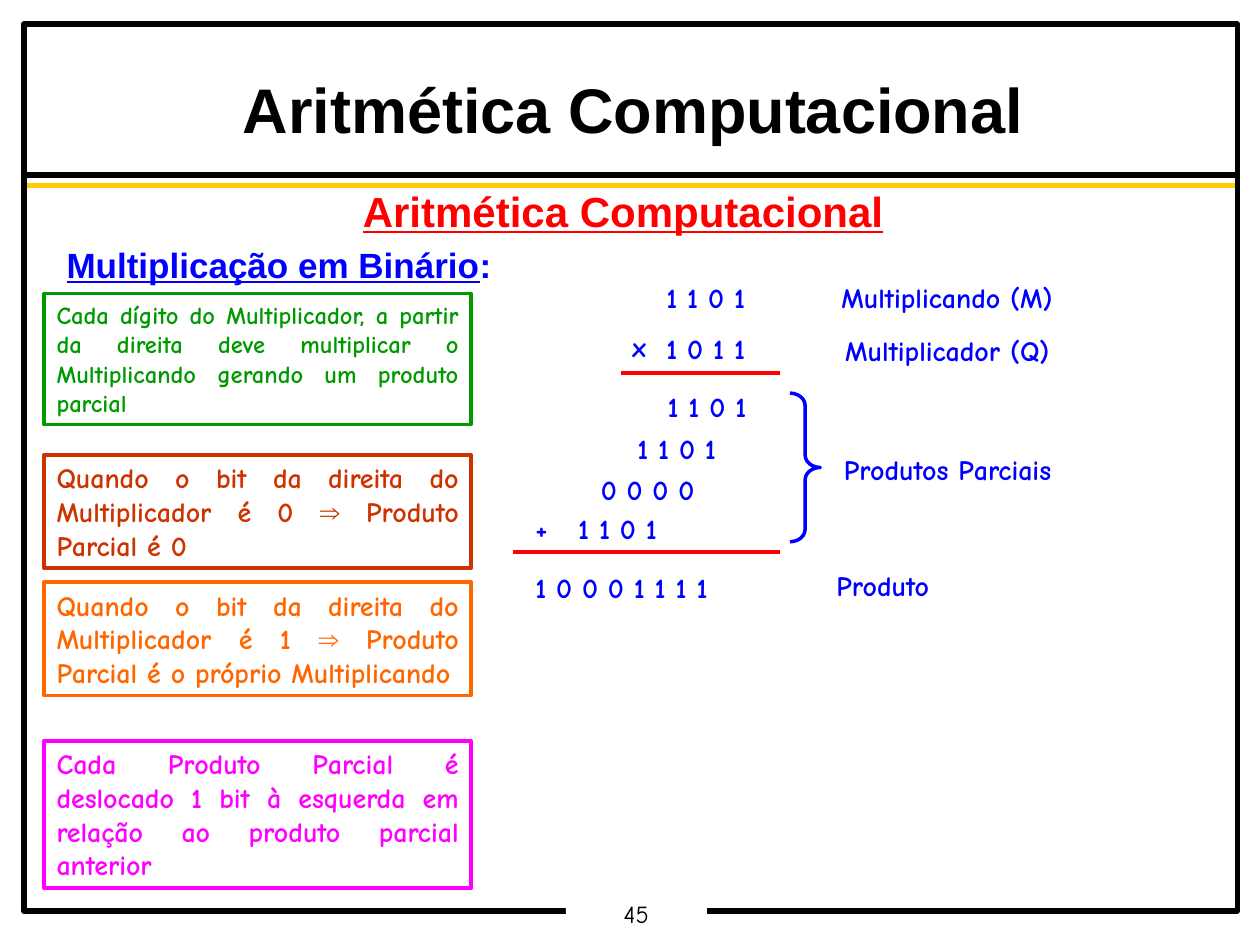
import pptx
import pptx.util
import pptx.dml.color
import pptx.enum.shapes
import pptx.enum.text
import pptx.oxml.ns
import lxml.etree

ALIGN = pptx.enum.text.PP_ALIGN
ANCHOR = pptx.enum.text.MSO_ANCHOR
SHAPE = pptx.enum.shapes.MSO_SHAPE
STRAIGHT = pptx.enum.shapes.MSO_CONNECTOR.STRAIGHT

THEME = {
    "ink": "000000", "paper": "FFFFFF", "gold": "FFCC00", "red": "FF0000",
    "blue": "0000FF", "green": "009900", "rust": "CC3300", "orange": "FF6600",
    "magenta": "FF00FF",
    "heading_font": "Arial", "body_font": "Comic Neue",
    "title": 36, "topic": 24, "section": 20, "body": 16, "small": 14,
    "frame_line": 3, "line": 2,
}
COLUMNS, ROWS = 100, 75

deck = pptx.Presentation()
deck.slide_width = pptx.util.Inches(10)
deck.slide_height = pptx.util.Inches(7.5)
column = deck.slide_width / COLUMNS
row = deck.slide_height / ROWS
slide = deck.slides.add_slide(deck.slide_layouts[5])
shapes = slide.shapes


def grid(x, y, *size):
    cells = (x, y, *size)
    return [round(cell * (row if i % 2 else column)) for i, cell in enumerate(cells)]


def write(frame, paragraphs, color, size, font=THEME["body_font"], bold=True,
          wrap=True, anchor=ANCHOR.TOP, inset=(0.1, 0.05), **layout):
    side, end = (pptx.util.Inches(value) for value in inset)
    frame_format = {"word_wrap": wrap, "vertical_anchor": anchor,
                    "auto_size": pptx.enum.text.MSO_AUTO_SIZE.NONE,
                    "margin_left": side, "margin_right": side,
                    "margin_top": end, "margin_bottom": end}
    for name, value in frame_format.items():
        setattr(frame, name, value)
    for index, pieces in enumerate(paragraphs):
        paragraph = frame.add_paragraph() if index else frame.paragraphs[0]
        spacing = {"space_before": pptx.util.Pt(10 if index else 0)}
        for name, value in {"alignment": ALIGN.LEFT, **spacing, **layout}.items():
            setattr(paragraph, name, value)
        for text, changes in pieces:
            run = paragraph.add_run()
            run.text = text
            run_format = {"name": font, "size": pptx.util.Pt(size), "bold": bold, **changes}
            for name, value in run_format.items():
                setattr(run.font, name, value)
            run.font.color.rgb = pptx.dml.color.RGBColor.from_string(color)


rules = [
    ((2, 13.9), (98.4, 13.9), "ink", "frame_line"),
    ((2, 14.7), (98.4, 14.7), "gold", "frame_line"),
    ((49.3, 29.6), (61.9, 29.6), "red", "line"),
    ((40.7, 43.8), (61.9, 43.8), "red", "line"),
]
for start, finish, color, weight in rules:
    rule = shapes.add_connector(STRAIGHT, *grid(*start), *grid(*finish))
    rule.line.color.rgb = pptx.dml.color.RGBColor.from_string(THEME[color])
    rule.line.width = pptx.util.Pt(THEME[weight])
    lxml.etree.SubElement(rule.element.spPr, pptx.oxml.ns.qn("a:effectLst"))

arrow = ("⇒", {"name": THEME["heading_font"]})
bit_rule = "Quando o bit da direita do Multiplicador é "
outlines = [
    (SHAPE.RECTANGLE, (1.9, 1.9, 96.3, 70.4), "ink", "frame_line", None, []),
    (SHAPE.RIGHT_BRACE, (62.7, 31.2, 2.4, 11.8), "blue", "line", None, []),
    (SHAPE.RECTANGLE, (3.5, 23.3, 33.9, 10.4), "green", "line", "small",
     [("Cada dígito do Multiplicador, a partir da direita deve multiplicar o "
       "Multiplicando gerando um produto parcial", {})]),
    (SHAPE.RECTANGLE, (3.5, 36.1, 33.9, 9), "rust", "line", "body",
     [(bit_rule + "0 ", {}), arrow, (" Produto Parcial é 0", {})]),
    (SHAPE.RECTANGLE, (3.5, 46.2, 33.9, 9), "orange", "line", "body",
     [(bit_rule + "1 ", {}), arrow, (" Produto Parcial é o próprio Multiplicando", {})]),
    (SHAPE.RECTANGLE, (3.5, 58.8, 33.9, 11.7), "magenta", "line", "body",
     [("Cada Produto Parcial é deslocado 1 bit à esquerda em relação ao produto "
       "parcial anterior", {})]),
]
for preset, place, color, weight, size, pieces in outlines:
    outline = shapes.add_shape(preset, *grid(*place))
    outline.shadow.inherit = False
    outline.fill.background()
    outline.line.color.rgb = pptx.dml.color.RGBColor.from_string(THEME[color])
    outline.line.width = pptx.util.Pt(THEME[weight])
    if preset == SHAPE.RIGHT_BRACE:
        outline.adjustments[0] = 0.41
    if pieces:
        write(outline.text_frame, [pieces], THEME[color], THEME[size],
              alignment=ALIGN.JUSTIFY)

page_number = shapes.add_shape(SHAPE.RECTANGLE, *grid(44.9, 71.3, 11.2, 2.7))
page_number.shadow.inherit = False
page_number.fill.solid()
page_number.fill.fore_color.rgb = pptx.dml.color.RGBColor.from_string(THEME["paper"])
page_number.line.fill.background()
write(page_number.text_frame, [[("45", {})]], THEME["ink"], THEME["small"], bold=False,
      wrap=False, inset=(0.07, 0.03), alignment=ALIGN.CENTER, line_spacing=0.9)

topic = shapes.add_textbox(*grid(4.3, 14.7, 90.3, 5))
write(topic.text_frame, [[("Aritmética Computacional", {"underline": True})]],
      THEME["red"], THEME["topic"], THEME["heading_font"],
      alignment=ALIGN.CENTER, line_spacing=0.9)

section = shapes.add_textbox(*grid(4.3, 19.2, 90.3, 4))
write(section.text_frame, [[("Multiplicação em Binário", {"underline": True}), (":", {})]],
      THEME["blue"], THEME["section"], THEME["heading_font"], line_spacing=0.9)

multiplication = [
    (51.9, 21.8, 8.2, ["1 1 0 1", "1 0 1 1"]),
    (49.2, 25.7, 3.1, ["x"]),
    (52, 30.4, 8.2, ["1 1 0 1"]),
    (49.6, 33.8, 8.2, ["1 1 0 1"]),
    (46.7, 37, 9.4, ["0 0 0 0"]),
    (44.9, 40.1, 8.2, ["1 1 0 1"]),
    (41.5, 40.1, 3, ["+"]),
    (41.5, 44.8, 21.5, ["1 0 0 0 1 1 1 1"]),
    (65.8, 21.8, 18.7, ["Multiplicando (M)"]),
    (66.1, 26, 18.2, ["Multiplicador (Q)"]),
    (66, 35.4, 18.6, ["Produtos Parciais"]),
    (65.4, 44.6, 9.4, ["Produto"]),
]
for left, top, width, lines in multiplication:
    term = shapes.add_textbox(*grid(left, top, width, 3.7 + 4.1 * (len(lines) - 1)))
    write(term.text_frame, [[(line, {})] for line in lines], THEME["blue"],
          THEME["body"], wrap=False)

title = shapes.title
title.left, title.top, title.width, title.height = grid(2, 5.7, 96.5, 6.3)
write(title.text_frame, [[("Aritmética Computacional", {})]], THEME["ink"], THEME["title"],
      THEME["heading_font"], anchor=ANCHOR.MIDDLE, inset=(0.07, 0.03),
      alignment=ALIGN.CENTER, line_spacing=0.95)

deck.save("out.pptx")
